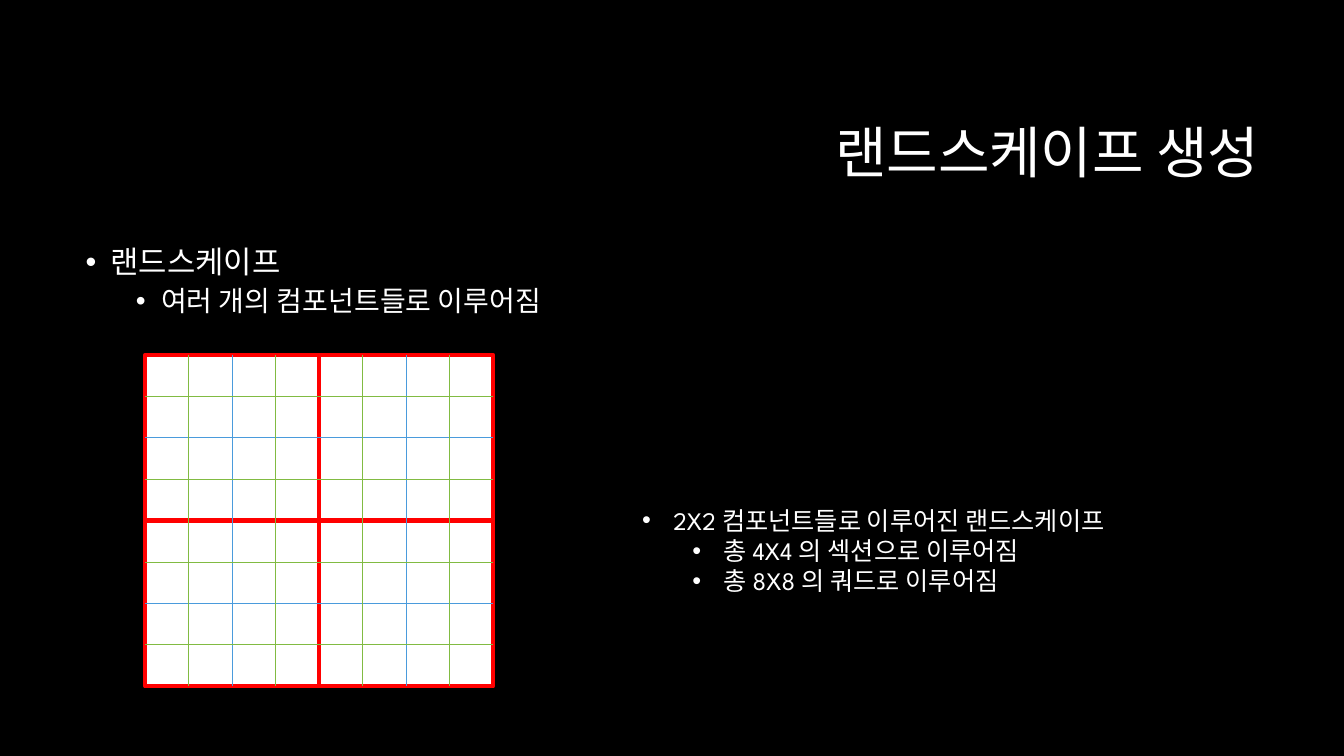
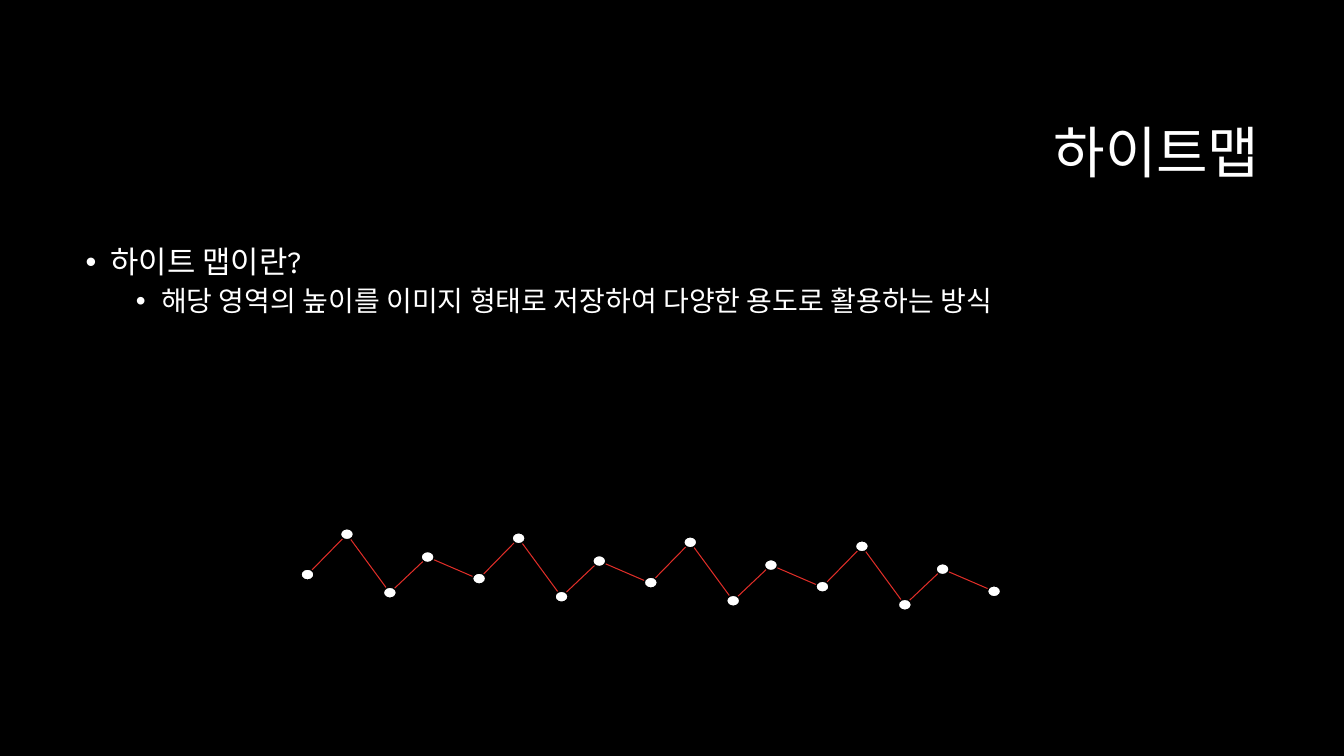
from lxml import etree
from pptx import Presentation
from pptx.dml.color import RGBColor
from pptx.enum.shapes import MSO_CONNECTOR, MSO_SHAPE
from pptx.enum.text import MSO_ANCHOR, MSO_AUTO_SIZE, PP_ALIGN
from pptx.oxml.ns import qn
from pptx.util import Inches, Pt

RECT, OVAL = MSO_SHAPE.RECTANGLE, MSO_SHAPE.OVAL
STRAIGHT = MSO_CONNECTOR.STRAIGHT
MIDDLE, RIGHT = MSO_ANCHOR.MIDDLE, PP_ALIGN.RIGHT
GROW = MSO_AUTO_SIZE.SHAPE_TO_FIT_TEXT

# Shared style
FONT = "League Spartan"
BLACK, WHITE = "000000", "FFFFFF"
COMPONENT, SECTION, QUAD = "FF0000", "4A9BDC", "81BB42"
WAVE = "DF2E28"
TITLE_BOX = (3.17, 0.84, 9.42, 1.41)
BODY_BOX = (0.75, 2.4, 11.83, 4.4)
# Per level: size, left indent, hanging indent, paragraph format
BODY_LEVELS = [
    (22, 0.25, 0.25, {"line_spacing": 0.9, "space_before": Pt(10)}),
    (20, 0.75, 0.25, {"line_spacing": 0.9, "space_before": Pt(5)}),
]
NOTE_LEVELS = [(18, 0.31, 0.31, {}), (18, 0.81, 0.31, {})]


def rgb(value):
    return RGBColor.from_string(value)


def inches(*values):
    return [Inches(v) for v in values]


def set_line(shape, color, width):
    shape.line.color.rgb = rgb(color)
    shape.line.width = Pt(width)


def add_text(p, text, size):
    r = p.add_run()
    r.text = text
    for name, value in {"name": FONT, "size": Pt(size)}.items():
        setattr(r.font, name, value)
    r.font.color.rgb = rgb(WHITE)


def add_frame(s, box):
    tf = s.shapes.add_textbox(*inches(*box)).text_frame
    tf.word_wrap = True
    return tf


def add_bullet(p, left, hanging):
    pPr = p._p.get_or_add_pPr()
    pPr.set("marL", str(Inches(left)))
    pPr.set("indent", str(-Inches(hanging)))
    etree.SubElement(pPr, qn("a:buFont")).set("typeface", "Arial")
    etree.SubElement(pPr, qn("a:buChar")).set("char", "•")


def add_list(s, box, items, levels):
    """Bulleted list; items are (level, text) pairs."""
    tf = add_frame(s, box)
    for i, (level, text) in enumerate(items):
        p = tf.add_paragraph() if i else tf.paragraphs[0]
        size, left, hanging, formats = levels[level]
        p.level = level
        for name, value in formats.items():
            setattr(p, name, value)
        add_bullet(p, left, hanging)
        add_text(p, text, size)
    return tf


def add_shape(s, kind, box, fill, line, width):
    sp = s.shapes.add_shape(kind, *inches(*box))
    sp.shadow.inherit = False
    sp.fill.solid()
    sp.fill.fore_color.rgb = rgb(fill)
    set_line(sp, line, width)


def add_rule(s, x1, y1, x2, y2, color):
    line = s.shapes.add_connector(STRAIGHT, *inches(x1, y1, x2, y2))
    set_line(line, color, 0.75)
    etree.SubElement(line._element.spPr, qn("a:effectLst"))


def add_content_slide(prs, title, items):
    s = prs.slides.add_slide(prs.slide_layouts[6])
    # Title
    tf = add_frame(s, TITLE_BOX)
    tf.vertical_anchor = MIDDLE
    p = tf.paragraphs[0]
    p.alignment, p.line_spacing = RIGHT, 0.9
    add_text(p, title, 40)
    # Body
    add_list(s, BODY_BOX, items, BODY_LEVELS)
    return s


def draw_landscape(s, box, components=2, quads=8):
    """Components as squares, split into sections and then quads."""
    x, y, w, h = box
    cw, ch = w / components, h / components
    for row in range(components):
        for col in range(components):
            cell = (x + col * cw, y + row * ch, cw, ch)
            add_shape(s, RECT, cell, WHITE, COMPONENT, 3)
    # Section borders fall on lines 2 and 6, quad borders on odd lines
    for color, start, step in ((SECTION, 2, 4), (QUAD, 1, 2)):
        for i in range(start, quads, step):
            across, down = x + w * i / quads, y + h * i / quads
            add_rule(s, x, down, x + w, down, color)
            add_rule(s, across, y, across, y + h, color)


def draw_wave(s, box, last):
    """One stretch of the height profile; its end dot opens the next one."""
    x, y, w, h = box
    shares = [(0, 0.69), (0.23, 0), (0.48, 1), (0.7, 0.39), (1, 0.77)]
    points = [(x + w * a, y + h * b) for a, b in shares]
    path = [tuple(inches(*point)) for point in points]
    builder = s.shapes.build_freeform(*path[0])
    builder.add_line_segments(path[1:], close=False)
    sp = builder.convert_to_shape()
    sp.shadow.inherit = False
    sp.fill.background()
    set_line(sp, WAVE, 0.75)
    dot_w, dot_h = 0.13, 0.11
    for px, py in points if last else points[:-1]:
        dot = (px - dot_w / 2, py - dot_h / 2, dot_w, dot_h)
        add_shape(s, OVAL, dot, WHITE, BLACK, 1)


def draw_height_profile(s, box, drop, waves=4):
    x, y, w, h = box
    step = w / waves
    for i in range(waves):
        draw_wave(s, (x + i * step, y + i * drop, step, h), i == waves - 1)


def main():
    prs = Presentation()
    prs.slide_width, prs.slide_height = inches(13.33, 7.5)
    fill = prs.slide_master.background.fill
    fill.solid()
    fill.fore_color.rgb = rgb(BLACK)

    # Landscape
    s = add_content_slide(prs, "랜드스케이프 생성", [
        (0, "랜드스케이프"),
        (1, "여러 개의 컴포넌트들로 이루어짐"),
    ])
    note = add_list(s, (6.27, 4.96, 5.24, 1.01), [
        (0, "2X2 컴포넌트들로 이루어진 랜드스케이프"),
        (1, "총 4X4 의 섹션으로 이루어짐"),
        (1, "총 8X8 의 쿼드로 이루어짐"),
    ], NOTE_LEVELS)
    note.auto_size = GROW
    draw_landscape(s, (1.44, 3.52, 3.45, 3.29))

    # Height map
    s = add_content_slide(prs, "하이트맵", [
        (0, "하이트 맵이란?"),
        (1, "해당 영역의 높이를 이미지 형태로 저장하여 다양한 용도로 활용하는 방식"),
    ])
    draw_height_profile(s, (3.05, 5.3, 6.81, 0.58), drop=0.04)

    prs.save("out.pptx")


if __name__ == "__main__":
    main()
